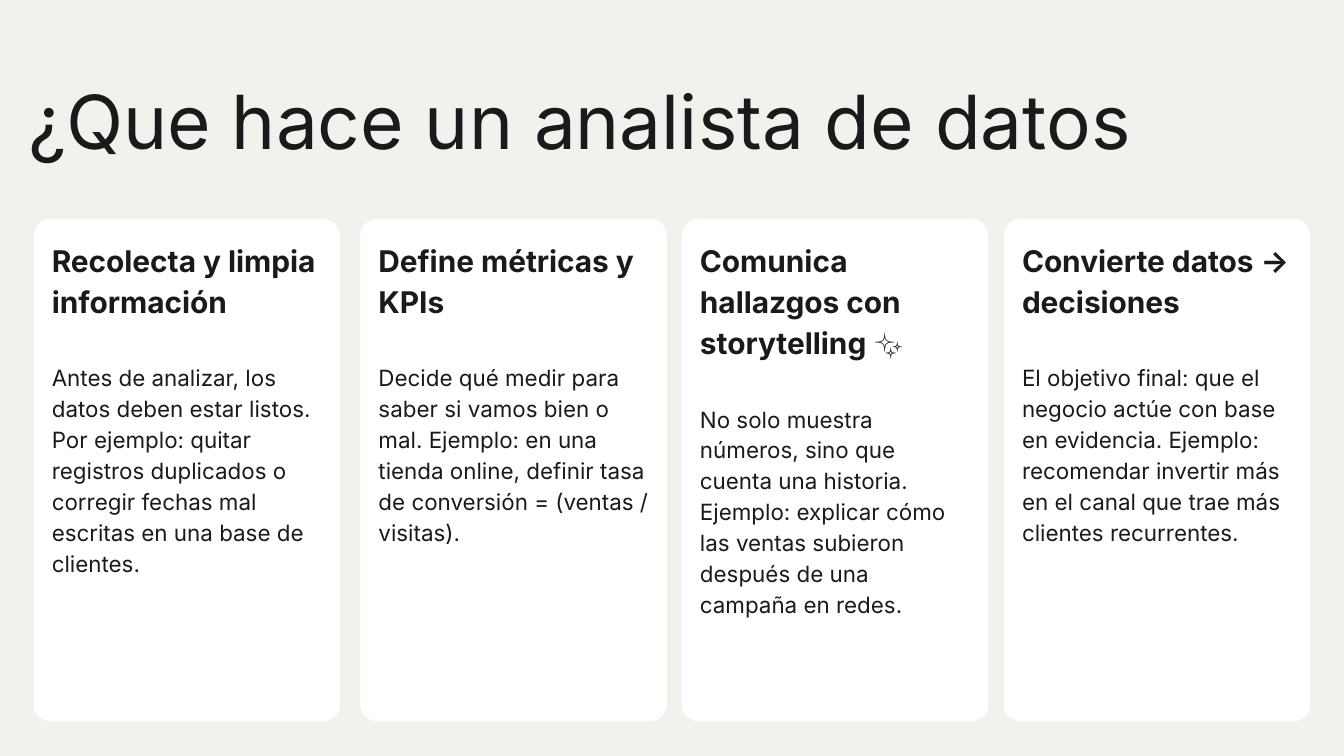
from pptx import Presentation
from pptx.dml.color import RGBColor
from pptx.enum.shapes import MSO_SHAPE
from pptx.enum.text import MSO_ANCHOR, PP_ALIGN
from pptx.util import Pt

BACKGROUND = RGBColor(0xF2, 0xF1, 0xEE)
CARD_FILL = RGBColor(0xFF, 0xFF, 0xFF)
INK = RGBColor(0x1A, 0x1A, 0x1A)
FONT = "Inter"

TITLE = "¿Que hace un analista de datos"
# Left edge, heading, explanation
CARDS = [
    (18, "Recolecta y limpia información",
     "Antes de analizar, los datos deben estar listos. Por ejemplo: quitar "
     "registros duplicados o corregir fechas mal escritas en una base de clientes."),
    (193, "Define métricas y KPIs",
     "Decide qué medir para saber si vamos bien o mal. Ejemplo: en una tienda "
     "online, definir tasa de conversión = (ventas / visitas)."),
    (365.25, "Comunica hallazgos con storytelling ✨",
     "No solo muestra números, sino que cuenta una historia. Ejemplo: explicar "
     "cómo las ventas subieron después de una campaña en redes."),
    (537.75, "Convierte datos → decisiones",
     "El objetivo final: que el negocio actúe con base en evidencia. Ejemplo: "
     "recomendar invertir más en el canal que trae más clientes recurrentes."),
]
CARD_TOP, CARD_WIDTH, CARD_HEIGHT = 117.25, 164.25, 269.25
CORNER = 0.056
INSET = 7.2


def prepare_frame(frame, bottom=INSET):
    """Set wrapping, top anchor and margins."""
    frame.word_wrap = True
    frame.vertical_anchor = MSO_ANCHOR.TOP
    frame.margin_left = frame.margin_top = frame.margin_right = Pt(INSET)
    frame.margin_bottom = Pt(bottom)


def write(paragraph, text, size, bold=False, line=1.0, before=0, after=0):
    paragraph.alignment = PP_ALIGN.LEFT
    paragraph.line_spacing = line
    paragraph.space_before = Pt(before)
    paragraph.space_after = Pt(after)
    run = paragraph.add_run()
    run.text = text
    run.font.name = FONT
    run.font.size = Pt(size)
    run.font.bold = bold
    run.font.color.rgb = INK


def add_card(slide, left, heading, explanation):
    card = slide.shapes.add_shape(
        MSO_SHAPE.ROUNDED_RECTANGLE,
        Pt(left), Pt(CARD_TOP), Pt(CARD_WIDTH), Pt(CARD_HEIGHT))
    card.adjustments[0] = CORNER
    card.shadow.inherit = False
    card.fill.solid()
    card.fill.fore_color.rgb = CARD_FILL
    card.line.fill.background()
    frame = card.text_frame
    prepare_frame(frame, bottom=0)
    write(frame.paragraphs[0], heading, 16, bold=True, line=1.15, after=9.9)
    write(frame.add_paragraph(), explanation, 12, line=1.15, before=12)


def main():
    deck = Presentation()
    deck.slide_width, deck.slide_height = Pt(720), Pt(405)
    slide = deck.slides.add_slide(deck.slide_layouts[6])
    slide.background.fill.solid()
    slide.background.fill.fore_color.rgb = BACKGROUND

    title = slide.shapes.add_textbox(Pt(8), Pt(33), Pt(671), Pt(63.5))
    prepare_frame(title.text_frame)
    write(title.text_frame.paragraphs[0], TITLE, 40)

    for left, heading, explanation in CARDS:
        add_card(slide, left, heading, explanation)

    deck.save("out.pptx")


if __name__ == "__main__":
    main()
